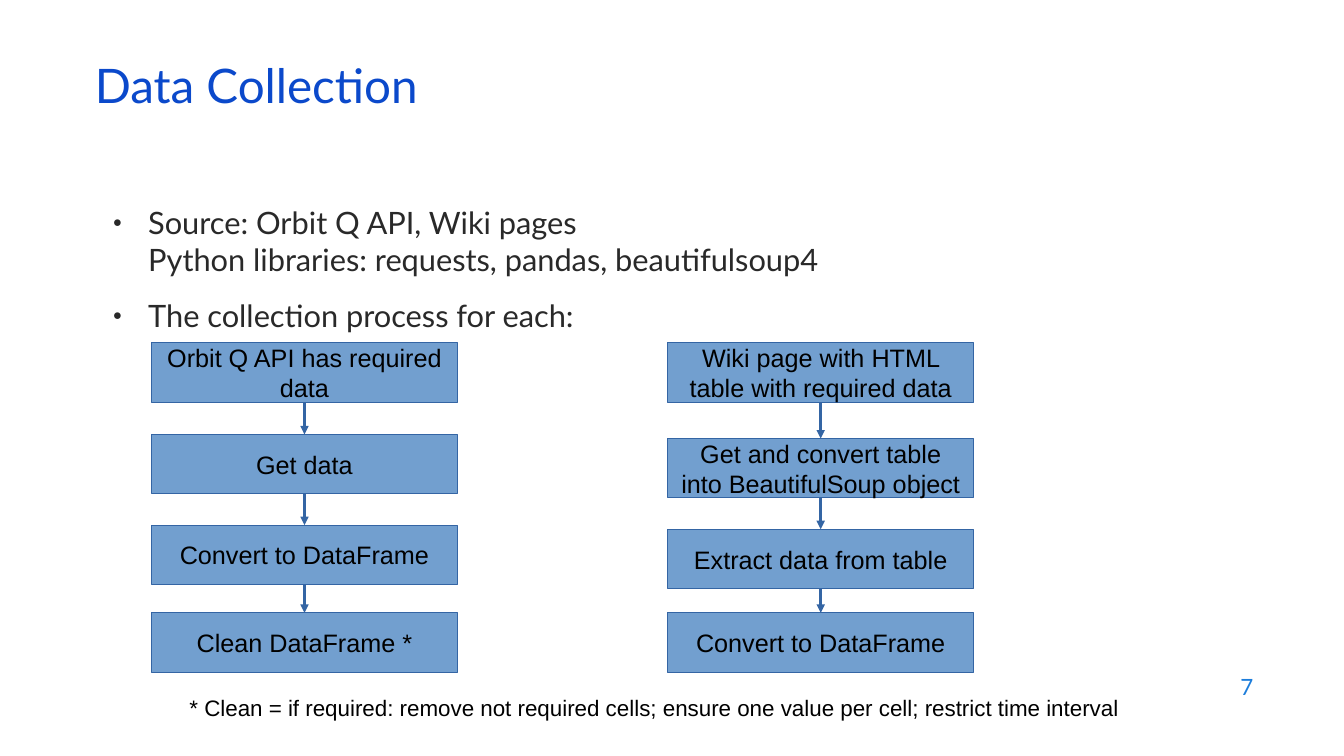
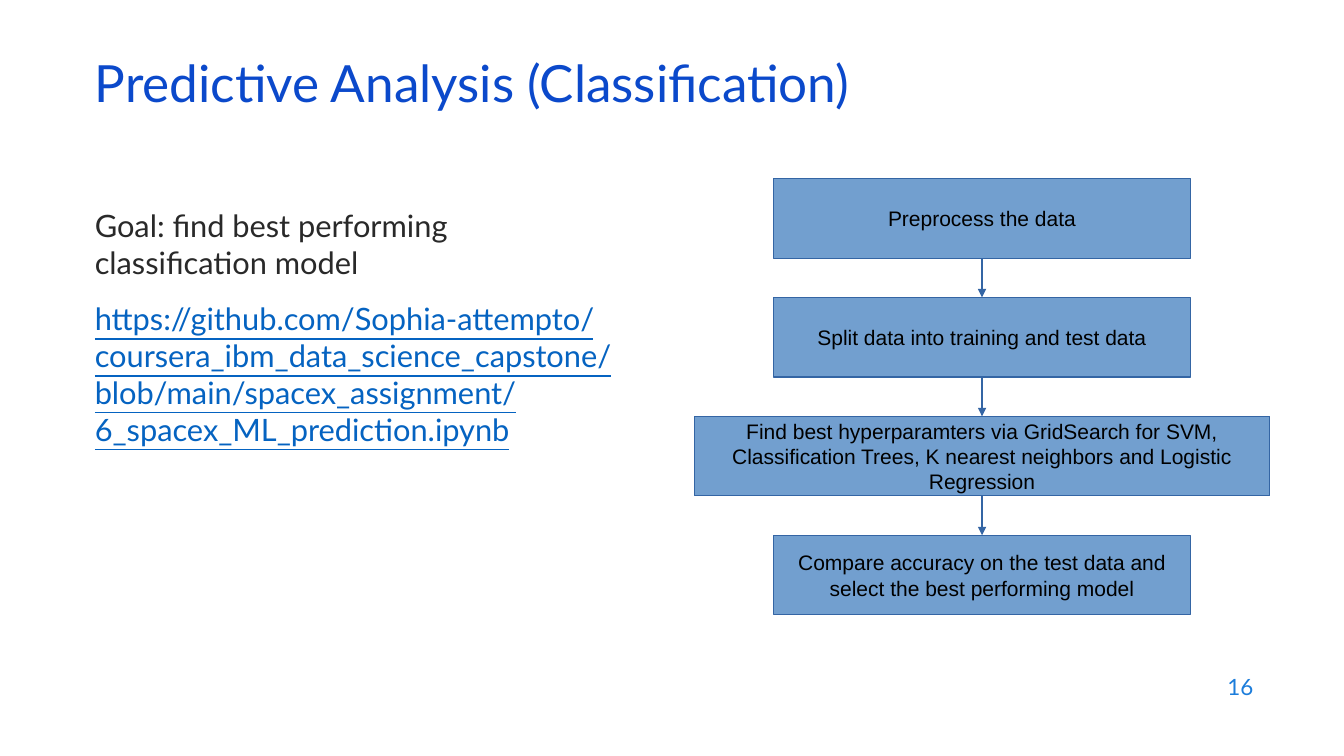
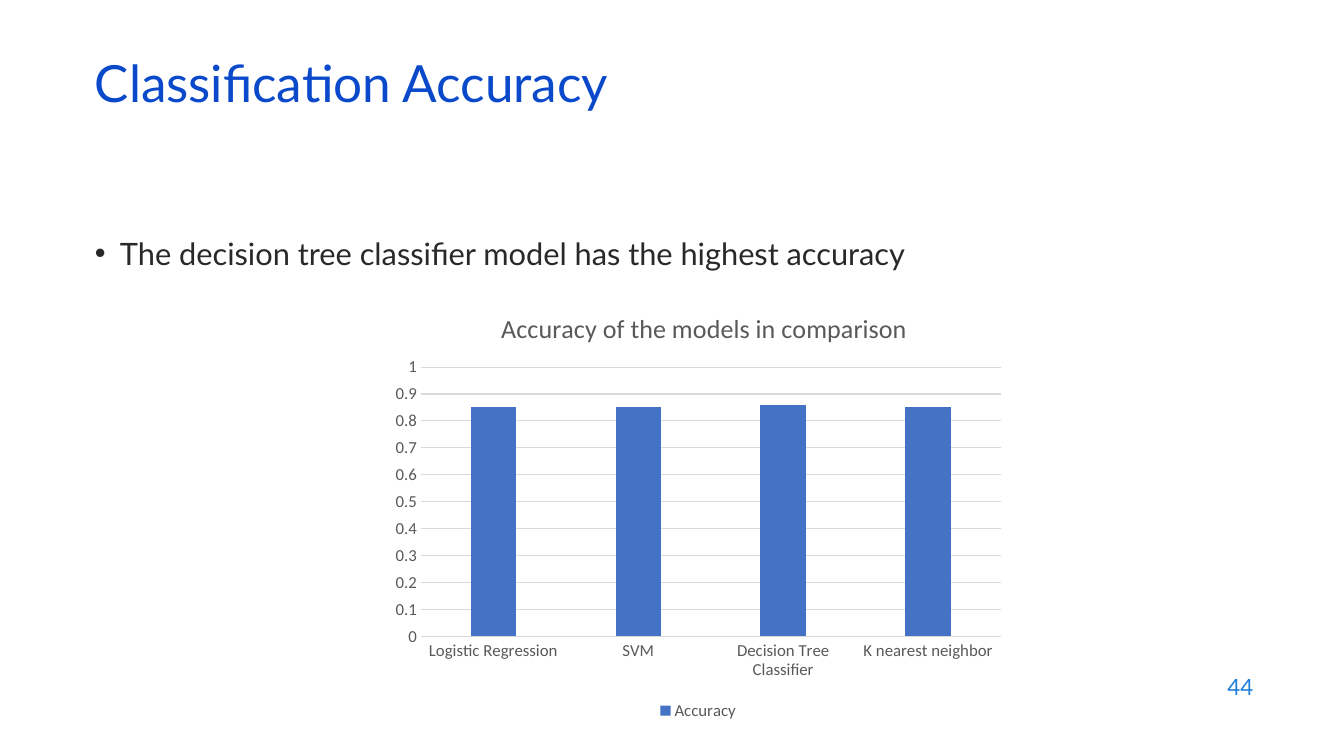
import lxml.etree
import pptx
import pptx.chart.data
import pptx.dml.color
import pptx.enum.chart
import pptx.enum.shapes
import pptx.enum.text
import pptx.oxml.ns
import pptx.util

ALIGN = pptx.enum.text.PP_ALIGN
ANCHOR = pptx.enum.text.MSO_ANCHOR
SHAPE = pptx.enum.shapes.MSO_SHAPE
CONNECTOR = pptx.enum.shapes.MSO_CONNECTOR
CHART = pptx.enum.chart


def px(value):
    return pptx.util.Emu(round(value * 9144))


def color(hex_code):
    return pptx.dml.color.RGBColor.from_string(hex_code)


def add_xml(parent, tag, **attributes):
    return lxml.etree.SubElement(parent, pptx.oxml.ns.qn(tag), attributes)


class Deck:
    HEADING, INK, NUMBER, LINK = "0B49CB", "292929", "1C7DDB", "0563C1"
    BOX_FILL, BOX_LINE, BOX_INK = "729FCF", "3465A4", "000000"
    CHART_INK, GRID, BAR = "595959", "D9D9D9", "4472C4"
    TEXT_FONT, BOX_FONT, CHART_FONT = "Lato", "Arial", "Calibri"

    def __init__(self):
        self.deck = pptx.Presentation()
        self.deck.slide_width, self.deck.slide_height = px(1333), px(750)
        self.page = None

    def style(self, font, name, size, ink):
        font.name = name
        font.size = pptx.util.Pt(size)
        font.color.rgb = color(ink)

    def fill_text(self, box, text, name, size, ink, align=ALIGN.LEFT, anchor=ANCHOR.TOP):
        frame = box.text_frame
        frame.text = text
        frame.word_wrap = True
        frame.auto_size = pptx.enum.text.MSO_AUTO_SIZE.NONE
        frame.vertical_anchor = anchor
        for para in frame.paragraphs:
            para.alignment = align
            for span in para.runs:
                self.style(span.font, name, size, ink)
            for line_break in para._p.findall(pptx.oxml.ns.qn("a:br")):
                add_xml(line_break, "a:rPr", sz=str(size * 100))

    def place(self, box, left, top, width, height):
        box.left, box.top, box.width, box.height = map(px, (left, top, width, height))

    def text(self, text, area, name, size, ink, **options):
        box = self.page.shapes.add_textbox(*map(px, area))
        self.fill_text(box, text, name, size, ink, **options)

    def start(self, title, number, top=59, size=36.6, spacing=0.7):
        self.page = self.deck.slides.add_slide(self.deck.slide_layouts[1])
        heading = self.page.shapes.title
        self.place(heading, 84, top, 1150, 60)
        self.fill_text(heading, title, self.TEXT_FONT, size, self.HEADING,
                       anchor=ANCHOR.MIDDLE)
        heading.text_frame.paragraphs[0].line_spacing = spacing
        self.text(number, (953, 659, 300, 44), self.TEXT_FONT, 16, self.NUMBER,
                  align=ALIGN.RIGHT, anchor=ANCHOR.MIDDLE)

    def body(self, lines, area, bullet=None, bullet_percent=100, margin=0, hanging=0):
        box = self.page.placeholders[1]
        self.place(box, *area)
        self.fill_text(box, "\n".join(lines), self.TEXT_FONT, 22, self.INK)
        for index, para in enumerate(box.text_frame.paragraphs):
            properties = para._p.get_or_add_pPr()
            properties.set("marL", str(px(margin)))
            properties.set("indent", str(px(-hanging)))
            if bullet:
                add_xml(add_xml(properties, "a:buClr"), "a:srgbClr", val=self.INK)
                add_xml(properties, "a:buSzPct", val=str(bullet_percent * 1000))
                add_xml(properties, "a:buFont", typeface=self.BOX_FONT)
                add_xml(properties, "a:buChar", char=bullet)
            else:
                add_xml(properties, "a:buNone")
            para.space_before = pptx.util.Pt(14 if index else 0)
        return box.text_frame.paragraphs

    def outline(self, line):
        line.color.rgb = color(self.BOX_LINE)
        line.width = 0

    def step(self, text, area, size):
        box = self.page.shapes.add_shape(SHAPE.FLOWCHART_PROCESS, *map(px, area))
        box.shadow.inherit = False
        box.fill.solid()
        box.fill.fore_color.rgb = color(self.BOX_FILL)
        self.outline(box.line)
        self.fill_text(box, text, self.BOX_FONT, size, self.BOX_INK,
                       align=ALIGN.CENTER, anchor=ANCHOR.MIDDLE)

    def arrow(self, x, start, end):
        arrow = self.page.shapes.add_connector(
            CONNECTOR.STRAIGHT, px(x), px(start), px(x), px(end))
        self.outline(arrow.line)
        add_xml(arrow.line._get_or_add_ln(), "a:tailEnd", type="triangle")
        add_xml(arrow._element.spPr, "a:effectLst")

    def flow(self, center, height, size, steps):
        bottom = None
        for top, width, text in steps:
            self.step(text, (center - width / 2, top, width, height), size)
            if bottom is not None:
                self.arrow(center, bottom, top)
            bottom = top + height

    def chart_layout(self, parent, position, target=None, **fractions):
        tag = pptx.oxml.ns.qn("c:layout")
        for old in parent.findall(tag):
            parent.remove(old)
        layout = lxml.etree.Element(tag)
        parent.insert(position, layout)
        manual = add_xml(layout, "c:manualLayout")
        if target:
            add_xml(manual, "c:layoutTarget", val=target)
        for side in ("x", "y"):
            add_xml(manual, f"c:{side}Mode", val="edge")
        for side, value in fractions.items():
            add_xml(manual, f"c:{side}", val=str(value))

    def columns(self, title, series_name, values, area):
        data = pptx.chart.data.CategoryChartData()
        data.categories = list(values)
        data.add_series(series_name, list(values.values()))
        chart = self.page.shapes.add_chart(
            CHART.XL_CHART_TYPE.COLUMN_CLUSTERED, *map(px, area), data).chart
        self.style(chart.font, self.CHART_FONT, 12, self.CHART_INK)

        heading = chart.chart_title
        heading.text_frame.text = title
        span = heading.text_frame.paragraphs[0].runs[0]
        self.style(span.font, self.CHART_FONT, 18.6, self.CHART_INK)
        span.font.bold = False
        heading.include_in_layout = False
        self.chart_layout(heading._element, 1, x=0.18, y=0.05)
        self.chart_layout(chart._chartSpace.chart.plotArea, 0, "inner",
                          x=0.06, y=0.19, w=0.92, h=0.61)

        chart.has_legend = True
        chart.legend.position = CHART.XL_LEGEND_POSITION.BOTTOM
        chart.legend.include_in_layout = False
        self.style(chart.legend.font, self.CHART_FONT, 12, self.CHART_INK)

        plot = chart.plots[0]
        plot.gap_width, plot.overlap = 219, -27
        plot.vary_by_categories = False
        fill = plot.series[0].format.fill
        fill.solid()
        fill.fore_color.rgb = color(self.BAR)

        scale = chart.value_axis
        scale.minimum_scale, scale.maximum_scale, scale.major_unit = 0, 1, 0.1
        scale.tick_labels.number_format = "General"
        scale.tick_labels.number_format_is_linked = False
        scale.format.line.fill.background()
        for line in (scale.major_gridlines.format.line, chart.category_axis.format.line):
            line.color.rgb = color(self.GRID)
            line.width = pptx.util.Pt(0.75)
        for axis in (scale, chart.category_axis):
            axis.major_tick_mark = CHART.XL_TICK_MARK.NONE
            axis.minor_tick_mark = CHART.XL_TICK_MARK.NONE
            self.style(axis.tick_labels.font, self.CHART_FONT, 12, self.CHART_INK)


def collection(deck):
    deck.start("Data Collection", "7", top=57, size=34, spacing=0.9)
    deck.body(
        ["Source: Orbit Q API, Wiki pages\vPython libraries: requests, pandas, beautifulsoup4",
         "The collection process for each:"],
        (90, 197, 909, 194), bullet="●", bullet_percent=50, margin=47, hanging=35)
    deck.flow(302, 59, 18, [
        (340, 303, "Orbit Q API has required data"),
        (431, 303, "Get data"),
        (521, 303, "Convert to DataFrame"),
        (608, 303, "Clean DataFrame *")])
    deck.flow(814, 59, 18, [
        (340, 303, "Wiki page with HTML table with required data"),
        (435, 303, "Get and convert table into BeautifulSoup object"),
        (525, 303, "Extract data from table"),
        (608, 303, "Convert to DataFrame")])
    deck.text("* Clean = if required: remove not required cells; "
              "ensure one value per cell; restrict time interval",
              (178, 684, 945, 38), deck.BOX_FONT, 16, deck.BOX_INK)


def prediction(deck):
    deck.start("Predictive Analysis (Classification)", "16")
    paragraphs = deck.body(
        ["Goal: find best performing classification model",
         "https://github.com/Sophia-attempto/coursera_ibm_data_science_capstone/"
         "blob/main/spacex_assignment/6_spacex_ML_prediction.ipynb"],
        (84, 200, 546, 476))
    address = paragraphs[1].runs[0].font
    address.color.rgb = color(deck.LINK)
    address.underline = True
    steps = [
        (413, "Preprocess the data"),
        (413, "Split data into training and test data"),
        (571, "Find best hyperparamters via GridSearch for SVM, Classification Trees, "
              "K nearest neighbors and Logistic Regression"),
        (413, "Compare accuracy on the test data and select the best performing model")]
    deck.flow(974, 79, 15, [
        (177 + 118 * row, width, text) for row, (width, text) in enumerate(steps)])


def accuracy(deck):
    deck.start("Classification Accuracy", "44")
    deck.body(["The decision tree classifier model has the highest accuracy"],
              (84, 228, 841, 417), bullet="•", margin=25, hanging=25)
    deck.columns("Accuracy of the models in comparison", "Accuracy",
                 {"Logistic Regression": 0.85, "SVM": 0.85,
                  "Decision Tree Classifier": 0.86, "K nearest neighbor": 0.85},
                 (380, 281, 625, 438))


def main():
    deck = Deck()
    for build in (collection, prediction, accuracy):
        build(deck)
    deck.deck.save("out.pptx")


if __name__ == "__main__":
    main()
